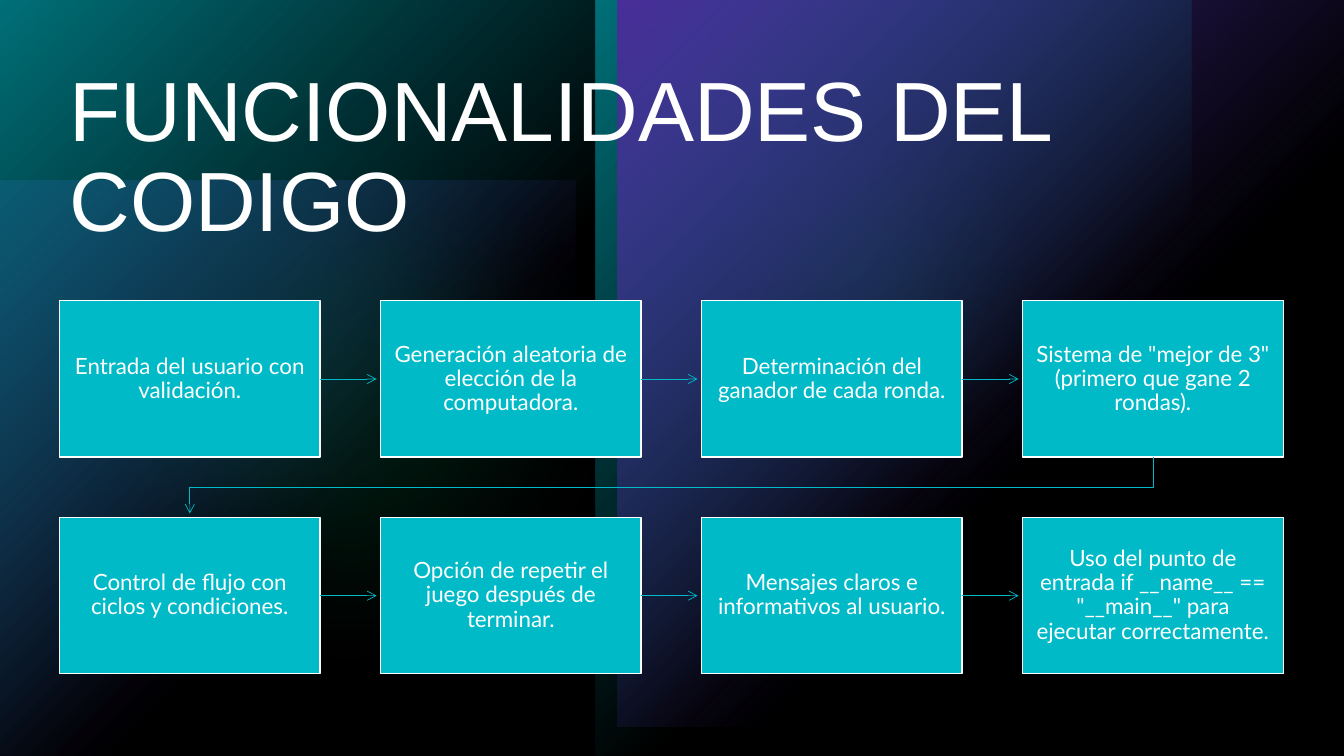
from lxml import etree
from pptx import Presentation
from pptx.dml.color import RGBColor
from pptx.enum.shapes import MSO_CONNECTOR, MSO_SHAPE
from pptx.enum.text import MSO_ANCHOR, PP_ALIGN
from pptx.oxml import parse_xml
from pptx.oxml.ns import nsdecls, qn
from pptx.util import Cm, Pt

RECT, OVAL = MSO_SHAPE.RECTANGLE, MSO_SHAPE.OVAL
STRAIGHT = MSO_CONNECTOR.STRAIGHT
MIDDLE = MSO_ANCHOR.MIDDLE
LEFT, CENTER = PP_ALIGN.LEFT, PP_ALIGN.CENTER

TITLE = "FUNCIONALIDADES DEL CODIGO"
STEPS = [
    "Entrada del usuario con validación.",
    "Generación aleatoria de elección de la computadora.",
    "Determinación del ganador de cada ronda.",
    'Sistema de "mejor de 3" (primero que gane 2 rondas).',
    "Control de flujo con ciclos y condiciones.",
    "Opción de repetir el juego después de terminar.",
    "Mensajes claros e informativos al usuario.",
    'Uso del punto de entrada if __name__ == "__main__" para ejecutar correctamente.',
]
TEAL, PURPLE, GREEN, WHITE, BLACK = "00BAC8", "794DFF", "00D17D", "FFFFFF", "000000"
SLIDE_W, SLIDE_H = 33.87, 19.05
GLOWS = [
    (RECT, 0, 4.56, 14.5, 14.5, PURPLE, 60),
    (OVAL, 15.98, 1.09, 11.99, 11.99, GREEN, 60),
    (OVAL, 0, 1.42, 17.63, 17.63, GREEN, 20),
    (RECT, 0, 0, 15.01, SLIDE_H, TEAL, 100),
    (RECT, 15.01, 0, 15.01, SLIDE_H, TEAL, 100),
    (RECT, 15.57, 0, 18.3, 18.3, PURPLE, 100),
    (RECT, 0, 0, SLIDE_W, SLIDE_H, BLACK, 40),
]
COLS = 4
BOX_X, BOX_Y, BOX_W, BOX_H = 1.5, 7.58, 6.57, 3.94
STEP_X, STEP_Y = 8.09, 5.46
TIP_GAP = 0.1


def rgb(color):
    return RGBColor.from_string(color)


def add_shape(kind, x, y, w, h):
    s = shapes.add_shape(kind, Cm(x), Cm(y), Cm(w), Cm(h))
    s.shadow.inherit = False
    s.line.fill.background()
    return s


def set_alpha(s, alpha):
    color = s._element.spPr.find(qn("a:solidFill"))[0]
    etree.SubElement(color, qn("a:alpha")).set("val", str(alpha * 1000))


def fill_corner_gradient(s, color, alpha):
    stops = "".join(
        f'<a:gs pos="{pos}"><a:srgbClr val="{color}"><a:alpha val="{a * 1000}"/></a:srgbClr></a:gs>'
        for pos, a in ((0, alpha), (60000, 0)))
    s.fill.background()
    spPr = s._element.spPr
    spPr.replace(spPr.find(qn("a:noFill")), parse_xml(
        f'<a:gradFill {nsdecls("a")} rotWithShape="1"><a:gsLst>{stops}</a:gsLst>'
        '<a:path path="circle"><a:fillToRect r="100000" b="100000"/></a:path></a:gradFill>'))


def soften(s, radius):
    effects = s._element.spPr.find(qn("a:effectLst"))
    etree.SubElement(effects, qn("a:softEdge")).set("rad", str(Cm(radius)))


def write(s, text, font, size, align, inset=None):
    tf = s.text_frame
    tf.word_wrap = True
    tf.vertical_anchor = MIDDLE
    if inset:
        tf.margin_left = tf.margin_right = tf.margin_top = tf.margin_bottom = Cm(inset)
    p = tf.paragraphs[0]
    p.alignment = align
    p.line_spacing = 0.9
    r = p.add_run()
    r.text = text
    r.font.name = font
    r.font.size = Pt(size)
    r.font.color.rgb = rgb(WHITE)


def style_arrow(s):
    s.line.color.rgb = rgb(TEAL)
    s.line.width = Pt(0.5)
    etree.SubElement(s.line._get_or_add_ln(), qn("a:tailEnd")).set("type", "arrow")


prs = Presentation()
prs.slide_width, prs.slide_height = Cm(SLIDE_W), Cm(SLIDE_H)
slide = prs.slides.add_slide(prs.slide_layouts[6])
shapes = slide.shapes
slide.background.fill.solid()
slide.background.fill.fore_color.rgb = rgb(BLACK)

for kind, x, y, w, h, color, alpha in GLOWS:
    s = add_shape(kind, x, y, w, h)
    if kind == RECT and color != BLACK:
        fill_corner_gradient(s, color, alpha)
        continue
    s.fill.solid()
    s.fill.fore_color.rgb = rgb(color)
    set_alpha(s, alpha)
    if kind == OVAL:
        soften(s, 3.53)

title = shapes.add_textbox(Cm(1.5), Cm(1.5), Cm(30.84), Cm(5.03))
write(title, TITLE, "Arial", 60, LEFT)

for i, step in enumerate(STEPS):
    row, col = divmod(i, COLS)
    x, y = BOX_X + col * STEP_X, BOX_Y + row * STEP_Y
    s = add_shape(RECT, x, y, BOX_W, BOX_H)
    s.fill.solid()
    s.fill.fore_color.rgb = rgb(TEAL)
    s.line.color.rgb = rgb(WHITE)
    s.line.width = Pt(1)
    write(s, step, "Lato", 16, CENTER, 0.33)
    if col < COLS - 1:
        mid = Cm(y + BOX_H / 2)
        arrow = shapes.add_connector(STRAIGHT, Cm(x + BOX_W), mid, Cm(x + STEP_X - TIP_GAP), mid)
        etree.SubElement(arrow._element.spPr, qn("a:effectLst"))
        style_arrow(arrow)

first_mid = BOX_X + BOX_W / 2
last_mid = first_mid + (COLS - 1) * STEP_X
bottom, next_top = BOX_Y + BOX_H, BOX_Y + STEP_Y
turn = (bottom + next_top) / 2
fb = shapes.build_freeform(Cm(last_mid), Cm(bottom))
fb.add_line_segments([(Cm(last_mid), Cm(turn)), (Cm(first_mid), Cm(turn)),
                      (Cm(first_mid), Cm(next_top - TIP_GAP))], close=False)
row_link = fb.convert_to_shape()
row_link.shadow.inherit = False
row_link.fill.background()
style_arrow(row_link)

prs.save("out.pptx")
